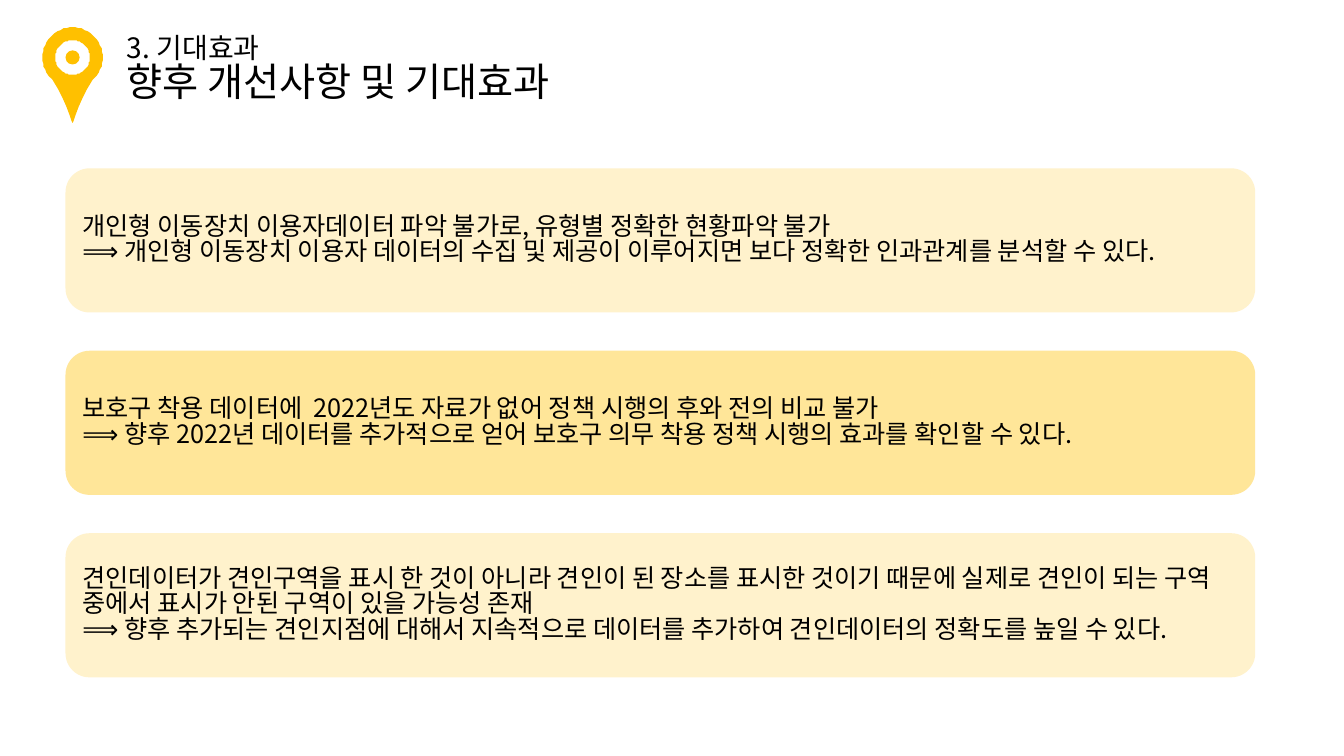
from math import cos, radians, sin

from lxml.etree import SubElement
from pptx import Presentation
from pptx.dml.color import RGBColor
from pptx.enum.shapes import MSO_SHAPE as Shape
from pptx.enum.text import MSO_ANCHOR as Anchor, PP_ALIGN as Align
from pptx.oxml.ns import qn
from pptx.util import Emu, Pt

PX = 9144  # 100 px to the inch
FONT = "Noto Sans CJK KR"
BLACK, AMBER, CREAM, GOLD = "000000", "FFC000", "FFF2CC", "FFE699"
LINE_SPACING = 0.84

SECTION = "3. 기대효과"
HEADLINE = "향후 개선사항 및 기대효과"
FINDINGS = [
    ("개인형 이동장치 이용자데이터 파악 불가로, 유형별 정확한 현황파악 불가",
     "⟹ 개인형 이동장치 이용자 데이터의 수집 및 제공이 이루어지면 보다 정확한 인과관계를 분석할 수 있다."),
    ("보호구 착용 데이터에  2022년도 자료가 없어 정책 시행의 후와 전의 비교 불가",
     "⟹ 향후 2022년 데이터를 추가적으로 얻어 보호구 의무 착용 정책 시행의 효과를 확인할 수 있다."),
    ("견인데이터가 견인구역을 표시 한 것이 아니라 견인이 된 장소를 표시한 것이기 때문에 "
     "실제로 견인이 되는 구역 중에서 표시가 안된 구역이 있을 가능성 존재",
     "⟹ 향후 추가되는 견인지점에 대해서 지속적으로 데이터를 추가하여 견인데이터의 정확도를 높일 수 있다."),
]


def px(*lengths):
    return [Emu(round(length * PX)) for length in lengths]


def color(hex_code):
    return RGBColor.from_string(hex_code)


def paint(shape, fill):
    shape.shadow.inherit = False
    shape.fill.solid()
    shape.fill.fore_color.rgb = color(fill)
    shape.line.fill.background()


def write(frame, lines, sizes):
    frame.word_wrap = True
    frame.text = "\n".join(lines)
    for paragraph, size in zip(frame.paragraphs, sizes):
        paragraph.alignment = Align.LEFT
        paragraph.line_spacing = LINE_SPACING
        for run in paragraph.runs:
            run.font.name = FONT
            run.font.size = Pt(size)
            run.font.color.rgb = color(BLACK)
            # East Asian typeface for the Hangul
            SubElement(run.font._element, qn("a:ea"), typeface=FONT)


def arc(cx, cy, radius, start, end, step=6):
    return [(cx + radius * cos(radians(a)), cy + radius * sin(radians(a)))
            for a in range(start, end + 1, step)]


def add_pin(slide, left, top, width, height):
    radius = width / 2
    cx, cy = left + radius, top + radius
    hole, dot = 17, 7

    # Round head, then flanks that curve in to the tip
    flank = [(17, 57), (14, 62), (10, 70), (6, 79), (3, 87), (1, 93)]
    outline = arc(cx, cy, radius, 132, 408)
    outline += [(cx + dx, top + dy) for dx, dy in flank]
    outline += [(cx, top + height)]
    outline += [(cx - dx, top + dy) for dx, dy in reversed(flank)]
    ring = arc(cx, cy, hole, 0, 354)[::-1]

    builder = slide.shapes.build_freeform(*outline[0], scale=PX)
    builder.add_line_segments(outline[1:], close=True)
    builder.move_to(*ring[0])
    builder.add_line_segments(ring[1:], close=True)
    paint(builder.convert_to_shape(), AMBER)

    # Centre dot
    center = slide.shapes.add_shape(
        Shape.OVAL, *px(cx - dot, cy - dot, 2 * dot, 2 * dot))
    paint(center, AMBER)


def add_heading(slide, left, top, width, height):
    heading = slide.shapes.add_textbox(*px(left, top, width, height))
    write(heading.text_frame, (SECTION, HEADLINE), (20, 28))


def add_findings(slide, left, top, width, height):
    gap = 38
    card_height = (height - gap * (len(FINDINGS) - 1)) / len(FINDINGS)
    for index, finding in enumerate(FINDINGS):
        card_top = top + index * (card_height + gap)
        card = slide.shapes.add_shape(
            Shape.ROUNDED_RECTANGLE, *px(left, card_top, width, card_height))
        paint(card, GOLD if index % 2 else CREAM)
        card.text_frame.vertical_anchor = Anchor.MIDDLE
        write(card.text_frame, finding, (18, 18))


def main():
    prs = Presentation()
    prs.slide_width, prs.slide_height = px(1333, 750)
    slide = prs.slides.add_slide(prs.slide_layouts[6])
    add_heading(slide, 116, 31, 509, 91)
    add_pin(slide, 42, 27, 60, 95)
    add_findings(slide, 65, 167, 1180, 505)
    prs.save("out.pptx")


if __name__ == "__main__":
    main()
